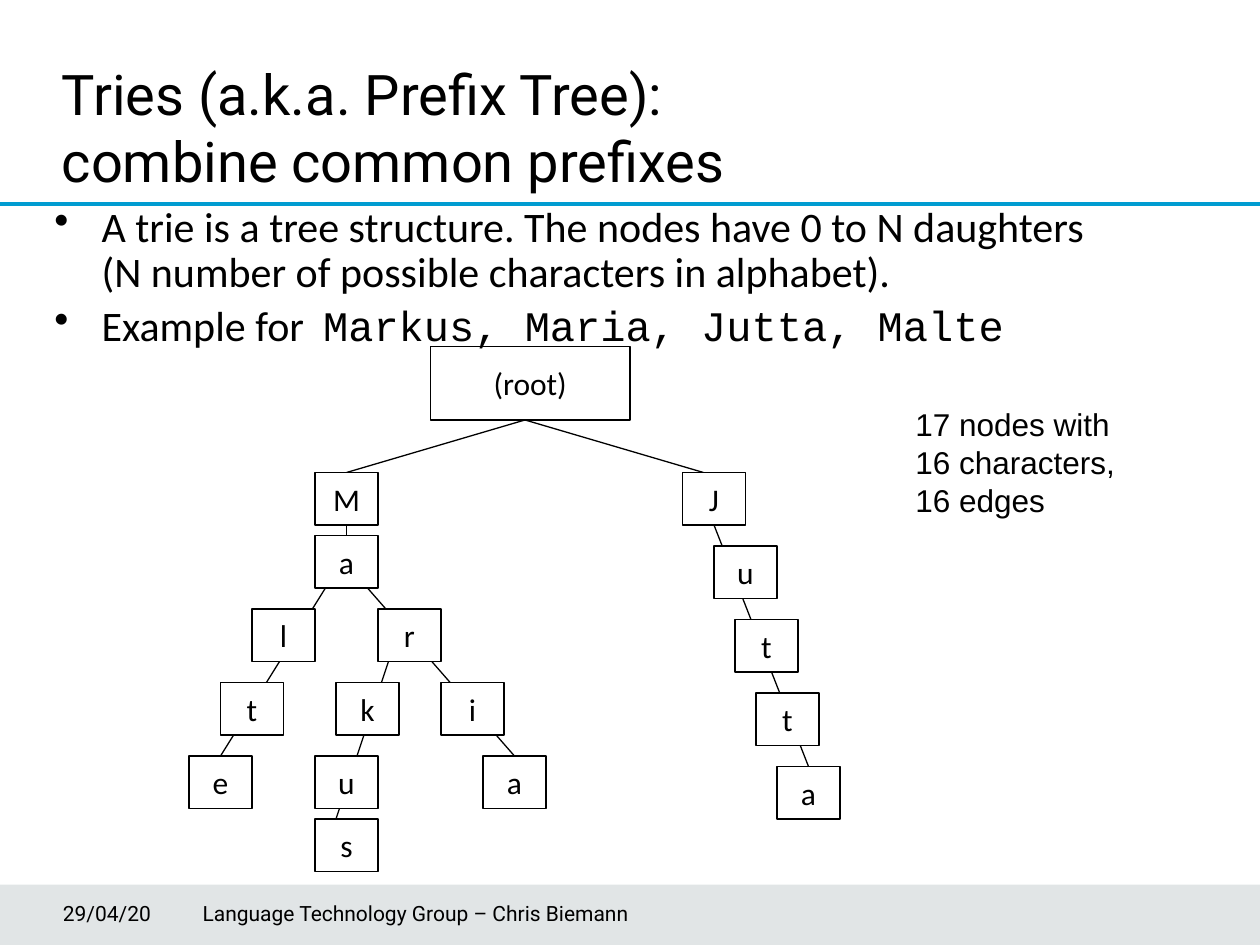
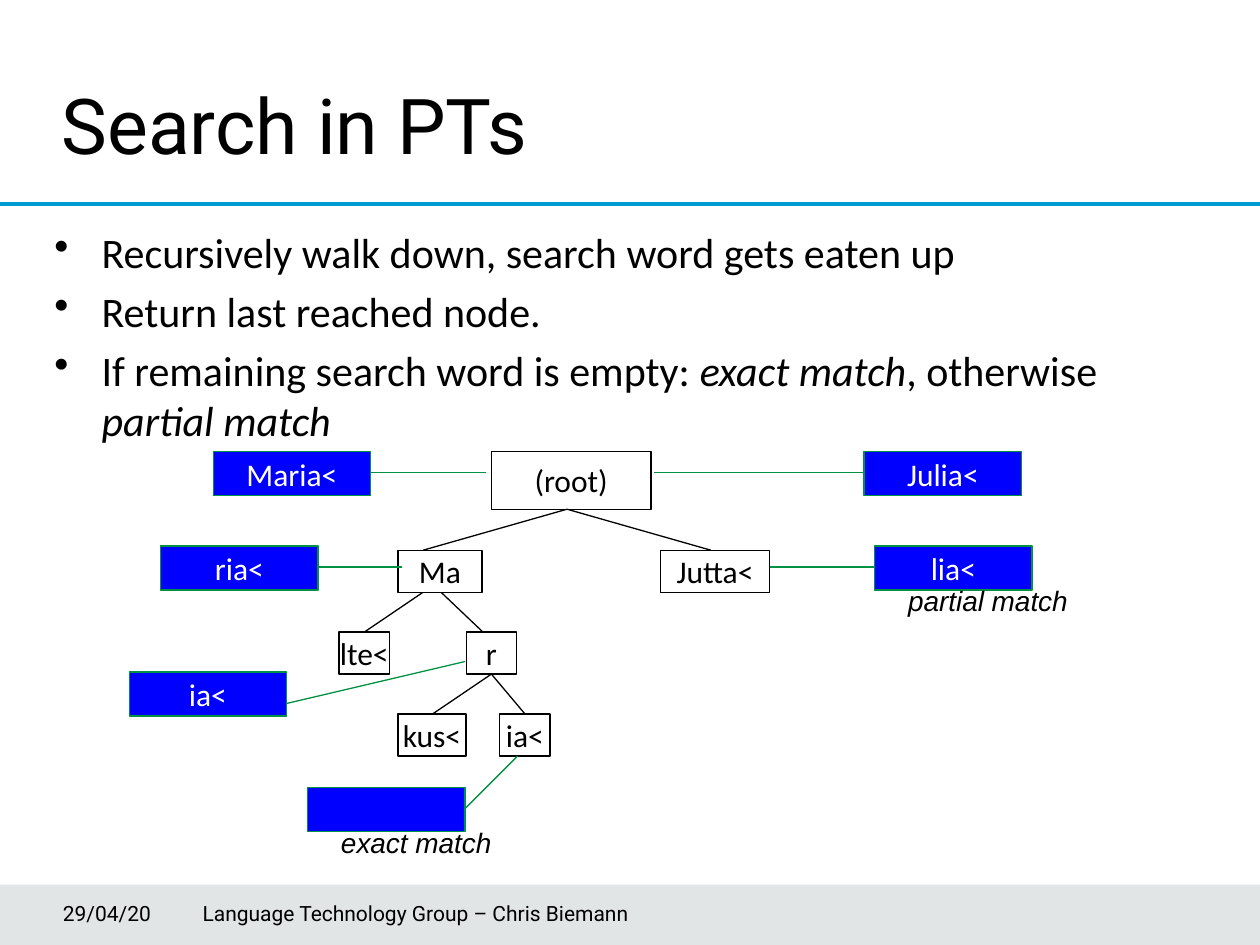
from typing import NamedTuple

from lxml.etree import SubElement
from pptx import Presentation
from pptx.dml.color import RGBColor
from pptx.enum.shapes import MSO_CONNECTOR, MSO_SHAPE
from pptx.enum.text import MSO_ANCHOR, PP_ALIGN
from pptx.oxml.ns import qn
from pptx.util import Emu, Inches, Pt

# Shared look
BLACK, WHITE, BLUE, GREEN = "000000", "FFFFFF", "0000FF", "009242"
RULE, BAND = "009CD1", "3B515B"
HEAD, BODY, NOTE, CODE = "Roboto", "Calibri", "Arial", "Courier New"

# The slide is a grid of 120 columns by 90 rows
COLS, ROWS = 120, 90
WIDE, HIGH = Inches(10), Inches(7.5)


class Box(NamedTuple):
    x: float
    y: float
    w: float
    h: float


class Node(NamedTuple):
    text: str
    x: float
    y: float
    w: float = 6
    h: float = 5
    fill: str = WHITE
    line: str = BLACK
    ink: str = BLACK


class Edge(NamedTuple):
    x1: float
    y1: float
    x2: float
    y2: float
    color: str = BLACK
    width: float = 0.75


class Run(NamedTuple):
    text: str
    face: str = BODY
    slant: bool = False


def rgb(code: str) -> RGBColor:
    return RGBColor.from_string(code)


def col(n: float) -> Emu:
    return Emu(round(WIDE * n / COLS))


def row(n: float) -> Emu:
    return Emu(round(HIGH * n / ROWS))


def place(box: Box) -> tuple:
    return col(box.x), row(box.y), col(box.w), row(box.h)


def style(font, face: str, size: float, ink: str = BLACK) -> None:
    font.name, font.size = face, Pt(size)
    font.color.rgb = rgb(ink)


def add_rect(slide, box: Box, fill: str, line: str = ""):
    rect = slide.shapes.add_shape(MSO_SHAPE.RECTANGLE, *place(box))
    rect.shadow.inherit = False
    if fill:
        rect.fill.solid()
        rect.fill.fore_color.rgb = rgb(fill)
    else:
        rect.fill.background()
    if line:
        rect.line.color.rgb = rgb(line)
        rect.line.width = Pt(0.75)
    else:
        rect.line.fill.background()
    return rect


def add_node(slide, node: Node) -> None:
    rect = add_rect(slide, Box(node.x, node.y, node.w, node.h), node.fill, node.line)
    if not node.text:
        return
    frame = rect.text_frame
    frame.word_wrap = False
    frame.vertical_anchor = MSO_ANCHOR.MIDDLE
    para = frame.paragraphs[0]
    para.text, para.alignment = node.text, PP_ALIGN.CENTER
    style(para.font, BODY, 18, node.ink)


def add_edge(slide, edge: Edge) -> None:
    line = slide.shapes.add_connector(MSO_CONNECTOR.STRAIGHT, col(edge.x1), row(edge.y1),
                                      col(edge.x2), row(edge.y2))
    line.line.color.rgb = rgb(edge.color)
    line.line.width = Pt(edge.width)
    SubElement(line._element.spPr, qn("a:effectLst"))


def add_text(slide, box: Box, text: str, face: str, size: float, wrap: bool = True):
    frame = slide.shapes.add_textbox(*place(box)).text_frame
    frame.word_wrap = wrap
    para = frame.paragraphs[0]
    para.text = text
    style(para.font, face, size)
    return frame


def add_list(slide, box: Box, items: list[list[Run]], space: float = 1) -> None:
    frame = slide.shapes.add_textbox(*place(box)).text_frame
    frame.word_wrap = True
    for i, item in enumerate(items):
        para = frame.add_paragraph() if i else frame.paragraphs[0]
        para.line_spacing = space
        para.space_before = Pt(4.8 if i else 0)
        style(para.font, BODY, 24)
        props = para._p.get_or_add_pPr()
        props.set("marL", str(col(4.5)))
        props.set("indent", str(-col(4.5)))
        mark = SubElement(props, qn("a:buChar"), char="•")
        props.find(qn("a:defRPr")).addprevious(mark)
        for part in item:
            for j, line in enumerate(part.text.split("\n")):
                if j:
                    para.add_line_break()
                run = para.add_run()
                run.text = line
                style(run.font, part.face, 24)
                run.font.italic = part.slant


def add_base(deck, title: str, box: Box, size: float):
    """Blank slide with footer band, rule, title and footer."""
    slide = deck.slides.add_slide(deck.slide_layouts[6])
    band = add_rect(slide, Box(0, 84.25, COLS, 5.75), BAND)
    tint = band._element.spPr.find(qn("a:solidFill"))[0]
    SubElement(tint, qn("a:alpha"), val="15000")
    add_edge(slide, Edge(0, 19.45, COLS, 19.45, RULE, 2))
    add_text(slide, box, title, HEAD, size).margin_top = Inches(0.09)
    for x, w, text in ((6, 12, "29/04/20"),
                       (19.3, 59, "Language Technology Group – Chris Biemann")):
        foot = add_text(slide, Box(x, 84.6, w, 4.8), text, HEAD, 12)
        foot.margin_left = 0
        foot.vertical_anchor = MSO_ANCHOR.MIDDLE
    return slide


def draw_trie(deck) -> None:
    slide = add_base(deck, "Tries (a.k.a. Prefix Tree):\vcombine common prefixes",
                     Box(4.7, 4.55, 101.3, 11), 32)
    # Edges run behind the nodes
    for ends in ((35, 56, 49, 72), (32, 78, 37, 63), (21, 72, 31, 56), (68, 50, 77, 73),
                 (50, 40, 33, 45), (50, 40, 67, 45), (33, 51, 33, 50)):
        add_edge(slide, Edge(*ends))
    add_list(slide, Box(4, 19, 113, 16), [
        [Run("A trie is a tree structure. The nodes have 0 to N daughters\n"
             "(N number of possible characters in alphabet).")],
        [Run("Example for  "), Run("Markus, Maria, Jutta, Malte", CODE)],
    ], 0.9)
    # Letters
    add_node(slide, Node("(root)", 41, 33, 19, 7, ""))
    for text, x, y in (("M", 30, 45), ("a", 30, 51), ("l", 24, 58), ("t", 21, 65),
                       ("e", 18, 72), ("r", 36, 58), ("u", 30, 72), ("i", 42, 65),
                       ("k", 32, 65), ("a", 46, 72)):
        add_node(slide, Node(text, x, y))
    add_node(slide, Node("s", 30, 78, fill=""))
    add_node(slide, Node("J", 65, 45))
    for i, text in enumerate("utta"):
        add_node(slide, Node(text, 68 + 2 * i, 52 + 7 * i))
    add_text(slide, Box(86, 38, 34, 17.5), "17 nodes with\v16 characters,\v16 edges", NOTE, 18)


def draw_search(deck) -> None:
    slide = add_base(deck, "Search in PTs", Box(4.7, 6.35, 90.3, 11), 44)
    add_list(slide, Box(4, 21, 102, 23), [
        [Run("Recursively walk down, search word gets eaten up")],
        [Run("Return last reached node.")],
        [Run("If remaining search word is empty: "), Run("exact match", slant=True),
         Run(", otherwise "), Run("partial match", slant=True)],
    ])
    # Tree: three levels below the root
    one, two, three = (52.4 + 7.8 * i for i in range(3))
    tall = 4
    for ends in ((46.8, two + tall, 50, three), (46.8, two + tall, 41.2, three),
                 (42, one + tall, 46, two), (40.3, one + tall, 34.7, two),
                 (54, 48.5, 40.3, one), (54, 48.5, 67.7, one)):
        add_edge(slide, Edge(*ends))
    add_node(slide, Node("(root)", 46.8, 43, 15.2, 5.5, ""))
    for text, x, y, w in (("Ma", 37.9, one, 8), ("Jutta<", 62.9, one, 10.4),
                          ("lte<", 32.3, two, 4.8), ("r", 44.4, two, 4.8),
                          ("kus<", 37.9, three, 6.5), ("ia<", 47.6, three, 4.8)):
        add_node(slide, Node(text, x, y, w, tall))
    # Rest of the search word at each step
    for text, x, y in (("Maria<", 20.3, 43), ("ria<", 15.3, 52), ("ia<", 12.3, 64),
                       ("", 29.3, 75), ("Julia<", 82.3, 43), ("lia<", 83.3, 52)):
        add_node(slide, Node(text, x, y, 15, 4.2, BLUE, GREEN, WHITE))
    for ends in ((35.3, 45, 46.3, 45), (30.3, 54, 38.3, 54), (27.3, 67, 44.3, 63),
                 (44.3, 77, 49.3, 72), (62.3, 45, 82.3, 45), (73.3, 54, 83.3, 54)):
        add_edge(slide, Edge(*ends, GREEN))
    # Outcomes
    for text, x, y, w in (("exact match", 31.3, 78, 16.8), ("partial match", 85.3, 55, 17.6)):
        note = add_text(slide, Box(x, y, w, 4.4), text, NOTE, 16, False)
        note.paragraphs[0].font.italic = True


def main() -> None:
    deck = Presentation()
    deck.slide_width, deck.slide_height = WIDE, HIGH
    draw_trie(deck)
    draw_search(deck)
    deck.save("out.pptx")


if __name__ == "__main__":
    main()
